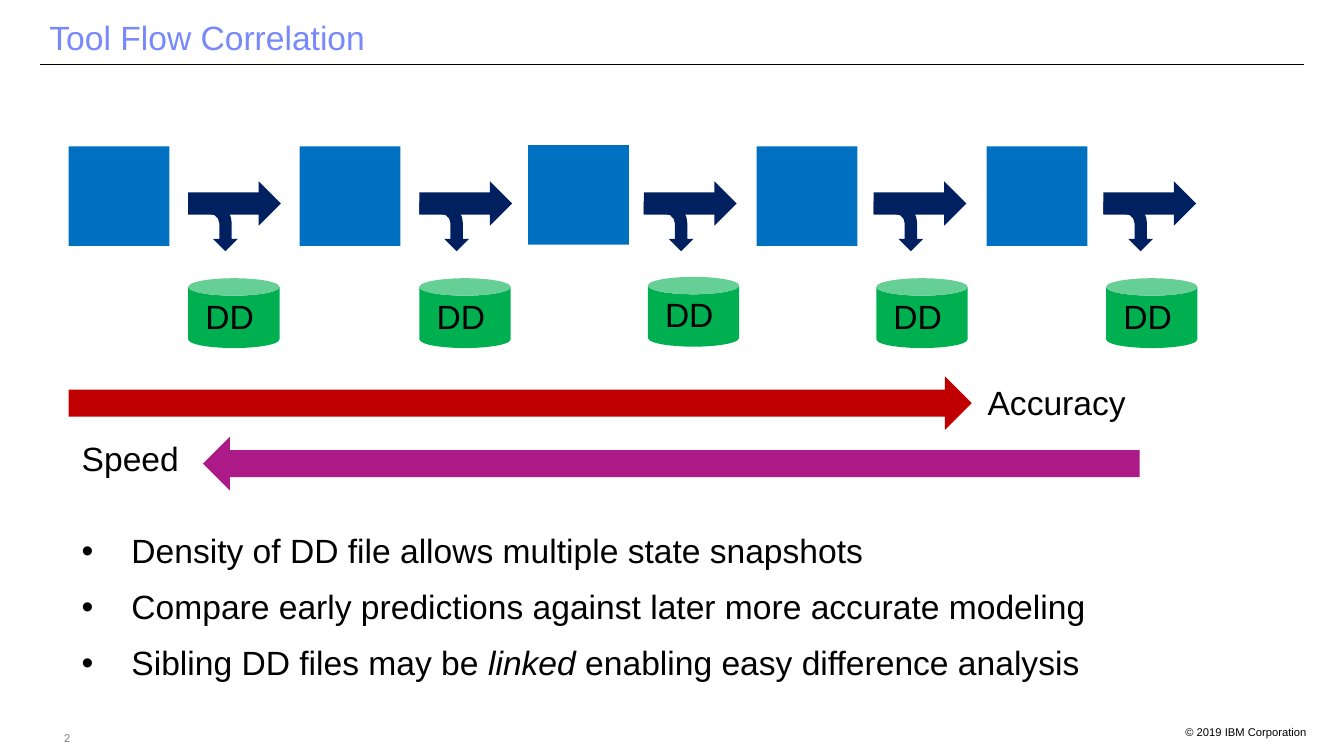
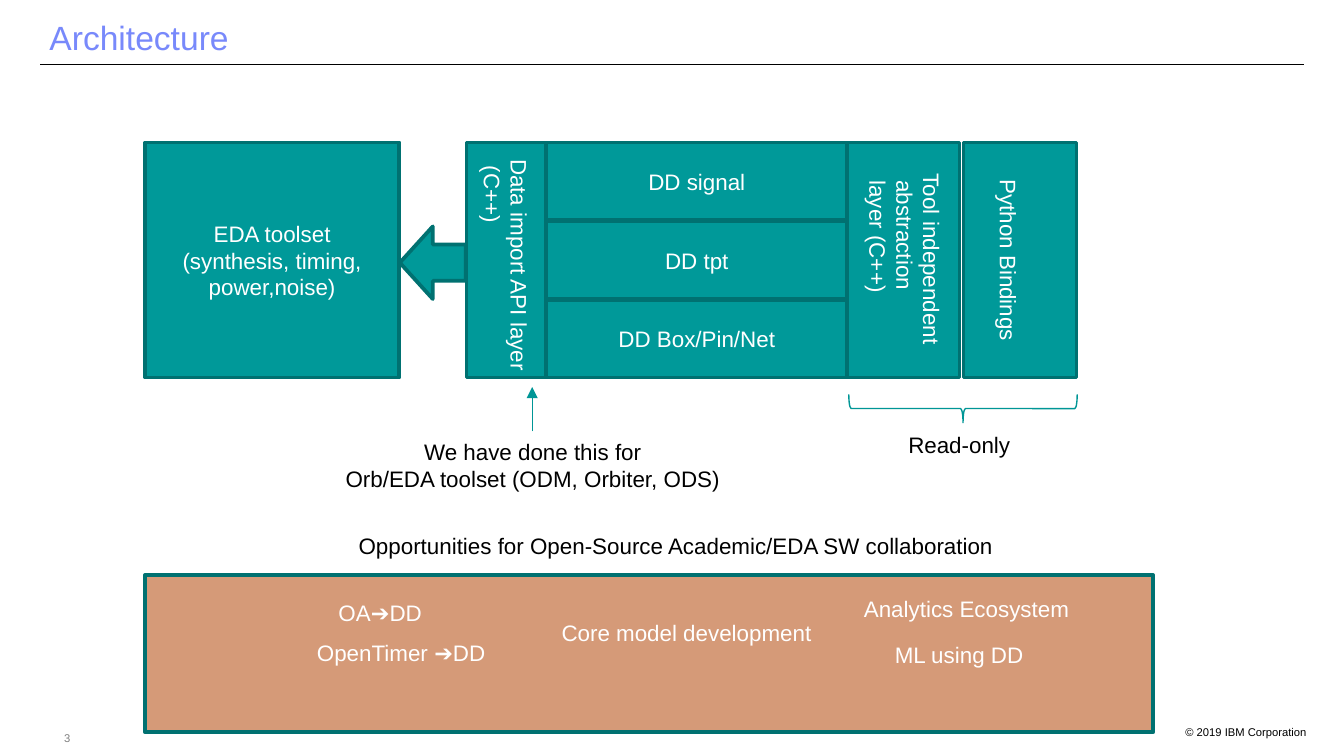
from dataclasses import dataclass
from typing import NamedTuple

from lxml.etree import SubElement
from pptx import Presentation
from pptx.dml.color import RGBColor
from pptx.enum.shapes import MSO_CONNECTOR, MSO_SHAPE
from pptx.enum.text import MSO_ANCHOR, PP_ALIGN
from pptx.oxml.ns import qn
from pptx.util import Inches, Pt

FONT = "Arial"
BLACK, WHITE, GRAY = "000000", "FFFFFF", "7F7F7F"
TITLE_BLUE = "7889FB"
STAGE_BLUE, FLOW_NAVY, FILE_GREEN = "0070C0", "002060", "00B050"
ACCURACY_RED, SPEED_PURPLE = "C00000", "AB1A86"
TEAL, TEAL_EDGE, TEAL_LINE, TAN = "009999", "007171", "009696", "D59A78"


@dataclass(frozen=True)
class Text:
    """Paragraphs in a box; pieces between asterisks are italic."""
    left: float
    top: float
    width: float
    height: float
    lines: tuple[str, ...]
    size: float = 18
    color: str = BLACK
    align: PP_ALIGN = PP_ALIGN.LEFT
    anchor: MSO_ANCHOR = MSO_ANCHOR.TOP
    wrap: bool = False
    rotation: float = 0
    spacing: float | Pt = 1.0
    inset: tuple[float, float] = (0.1, 0.05)
    later_indent: float = 0
    bullet: str = ""


@dataclass(frozen=True)
class Block:
    kind: MSO_SHAPE
    left: float
    top: float
    width: float
    height: float
    fill: str = ""
    edge: str = ""
    edge_width: float = 2
    rotation: float = 0
    text: str = ""


class Stage(NamedTuple):
    left: float
    arrow_left: float
    lift: float = 0


def rgb(color: str) -> RGBColor:
    return RGBColor.from_string(color)


def set_all(target, values: dict) -> None:
    for name, value in values.items():
        setattr(target, name, value)


def box_of(item) -> list:
    return [Inches(v) for v in (item.left, item.top, item.width, item.height)]


def write_runs(paragraph, line: str, size: float, color: str) -> None:
    for index, piece in enumerate(line.split("*")):
        run = paragraph.add_run()
        run.text = piece
        font_format = {"name": FONT, "size": Pt(size)}
        if index % 2:
            font_format["italic"] = True
        set_all(run.font, font_format)
        run.font.color.rgb = rgb(color)


def set_indent(paragraph, margin: float, bullet: str = "") -> None:
    properties = paragraph._p.get_or_add_pPr()
    properties.set("marL", str(Inches(margin)))
    if bullet:
        properties.set("indent", str(-Inches(margin)))
        SubElement(properties, qn("a:buFont")).set("typeface", FONT)
        SubElement(properties, qn("a:buChar")).set("char", bullet)


def add_text(slide, text: Text) -> None:
    shape = slide.shapes.add_textbox(*box_of(text))
    shape.rotation = text.rotation
    frame = shape.text_frame
    side, end = (Inches(v) for v in text.inset)
    set_all(frame, {
        "word_wrap": text.wrap, "vertical_anchor": text.anchor,
        "margin_left": side, "margin_right": side,
        "margin_top": end, "margin_bottom": end,
    })
    for index, line in enumerate(text.lines):
        paragraph = frame.add_paragraph() if index else frame.paragraphs[0]
        if text.bullet or (index and text.later_indent):
            set_indent(paragraph, text.later_indent, text.bullet)
        set_all(paragraph, {"alignment": text.align, "line_spacing": text.spacing})
        write_runs(paragraph, line, text.size, text.color)


def add_block(slide, block: Block) -> None:
    shape = slide.shapes.add_shape(block.kind, *box_of(block))
    shape.shadow.inherit = False
    shape.rotation = block.rotation
    if block.fill:
        shape.fill.solid()
        shape.fill.fore_color.rgb = rgb(block.fill)
    else:
        shape.fill.background()
    if block.edge:
        shape.line.color.rgb = rgb(block.edge)
        shape.line.width = Pt(block.edge_width)
    else:
        shape.line.fill.background()
    if block.text:
        frame = shape.text_frame
        set_all(frame, {"word_wrap": True, "vertical_anchor": MSO_ANCHOR.MIDDLE})
        frame.paragraphs[0].alignment = PP_ALIGN.CENTER
        write_runs(frame.paragraphs[0], block.text, 12, WHITE)


def add_line(slide, start: tuple[float, float], end: tuple[float, float],
             color: str, arrow: bool = False) -> None:
    points = [Inches(v) for v in (*start, *end)]
    connector = slide.shapes.add_connector(MSO_CONNECTOR.STRAIGHT, *points)
    connector.line.color.rgb = rgb(color)
    connector.line.width = Pt(0.75)
    if arrow:
        SubElement(connector.line._get_or_add_ln(), qn("a:tailEnd")).set("type", "triangle")
    SubElement(connector._element.spPr, qn("a:effectLst"))


def add_slide(presentation, title: str, number: int):
    """Add a blank slide with the shared title, rule and footer."""
    slide = presentation.slides.add_slide(presentation.slide_layouts[6])
    add_line(slide, (0.3, 0.48), (9.7, 0.48), BLACK)
    add_text(slide, Text(0.2, 5.42, 0.6, 0.15, (str(number),), 6, GRAY, PP_ALIGN.CENTER,
                         MSO_ANCHOR.MIDDLE, wrap=True, spacing=0.9))
    add_text(slide, Text(8.3, 5.36, 1.5, 0.15, ("© 2019 IBM Corporation",), 6,
                         align=PP_ALIGN.RIGHT, wrap=True, inset=(0.08, 0.04)))
    add_text(slide, Text(0.27, -0.19, 9.8, 0.67, (title,), 18, TITLE_BLUE,
                         anchor=MSO_ANCHOR.BOTTOM, wrap=True, spacing=0.9))
    return slide


def add_stage(slide, stage: Stage) -> None:
    """Draw a tool square, its DD file and the arrows leaving it."""
    file_left = stage.left + 0.89
    for block in (
        Block(MSO_SHAPE.RECTANGLE, stage.left, 1.09 - stage.lift, 0.75, 0.74, STAGE_BLUE),
        Block(MSO_SHAPE.CAN, file_left, 2.07 - stage.lift, 0.68, 0.52, FILE_GREEN),
        Block(MSO_SHAPE.RIGHT_ARROW, stage.arrow_left, 1.35, 0.69, 0.33, FLOW_NAVY),
        Block(MSO_SHAPE.BENT_ARROW, stage.arrow_left, 1.5, 0.37, 0.37, FLOW_NAVY, rotation=90),
    ):
        add_block(slide, block)
    add_text(slide, Text(file_left + 0.03, 2.15 - stage.lift, 0.57, 0.4, ("DD",)))


def build_tool_flow(presentation) -> None:
    slide = add_slide(presentation, "Tool Flow Correlation", 2)
    add_text(slide, Text(0.51, 3.78, 9.4, 1.32, (
        "Density of DD file allows multiple state snapshots",
        "Compare early predictions against later more accurate modeling",
        "Sibling DD files may be *linked* enabling easy difference analysis",
    ), wrap=True, spacing=Pt(30), later_indent=0.37, bullet="•"))
    for stage in (Stage(0.51, 1.4), Stage(2.23, 3.12), Stage(3.93, 4.79, lift=0.01),
                  Stage(5.63, 6.5), Stage(7.34, 8.21)):
        add_stage(slide, stage)
    add_block(slide, Block(MSO_SHAPE.RIGHT_ARROW, 0.51, 2.8, 6.72, 0.4, ACCURACY_RED))
    add_text(slide, Text(7.25, 2.79, 1.24, 0.4, ("Accuracy",)))
    add_block(slide, Block(MSO_SHAPE.RIGHT_ARROW, 1.51, 3.25, 6.97, 0.4, SPEED_PURPLE,
                           rotation=180))
    add_text(slide, Text(0.51, 3.21, 0.93, 0.4, ("Speed",)))


def build_architecture(presentation) -> None:
    slide = add_slide(presentation, "Architecture", 3)
    top, height, row_pitch = 1.06, 1.75, 0.585
    for row, name in enumerate(("DD signal", "DD tpt", "DD Box/Pin/Net")):
        add_block(slide, Block(MSO_SHAPE.RECTANGLE, 4.06, top + row * row_pitch, 2.25, 0.58,
                               TEAL, TEAL_EDGE, text=name))
    for left, width, name in (
        (1.08, 1.89, "EDA toolset (synthesis, timing, power,noise)"),
        (6.3, 0.84, ""), (3.47, 0.59, ""), (7.17, 0.84, ""),
    ):
        add_block(slide, Block(MSO_SHAPE.RECTANGLE, left, top, width, height,
                               TEAL, TEAL_EDGE, text=name))
    for left, label_top, width, label_height, lines in (
        (2.87, 1.73, 1.79, 0.5, ("Data import API layer", "(C++)")),
        (5.99, 1.58, 1.48, 0.71, ("Tool independent", "abstraction", "layer (C++)")),
        (6.8, 1.79, 1.41, 0.3, ("Python Bindings",)),
    ):
        add_text(slide, Text(left, label_top, width, label_height, lines, 12, WHITE,
                             rotation=90, later_indent=0.05))

    add_block(slide, Block(MSO_SHAPE.DOWN_ARROW, 2.95, 1.71, 0.54, 0.49, TEAL, TEAL_EDGE,
                           rotation=90))
    add_block(slide, Block(MSO_SHAPE.RIGHT_BRACE, 7.06, 2.19, 0.21, 1.7, edge=TEAL_LINE,
                           edge_width=0.75, rotation=90))
    add_line(slide, (3.96, 3.21), (3.96, 2.88), TEAL_LINE, arrow=True)
    add_text(slide, Text(2.38, 3.21, 3.17, 0.5, (
        "We have done this for", "Orb/EDA toolset (ODM, Orbiter, ODS)",
    ), 12, align=PP_ALIGN.CENTER))

    add_block(slide, Block(MSO_SHAPE.RECTANGLE, 1.08, 4.28, 7.5, 1.17, TAN, TEAL_EDGE))
    for left, label_top, width, color, line in (
        (6.66, 3.16, 0.96, BLACK, "Read-only"),
        (2.57, 3.91, 4.96, BLACK, "Opportunities for Open-Source Academic/EDA SW collaboration"),
        (2.42, 4.41, 0.87, WHITE, "OA➔DD"),
        (2.26, 4.71, 1.5, WHITE, "OpenTimer ➔DD"),
        (4.08, 4.56, 2.07, WHITE, "Core model development"),
        (6.33, 4.38, 1.74, WHITE, "Analytics Ecosystem"),
        (6.56, 4.72, 1.17, WHITE, "ML using DD"),
    ):
        add_text(slide, Text(left, label_top, width, 0.3, (line,), 12, color))


def main() -> None:
    presentation = Presentation()
    presentation.slide_width = Inches(10)
    presentation.slide_height = Inches(10) * 9 // 16
    build_tool_flow(presentation)
    build_architecture(presentation)
    presentation.save("out.pptx")


if __name__ == "__main__":
    main()
